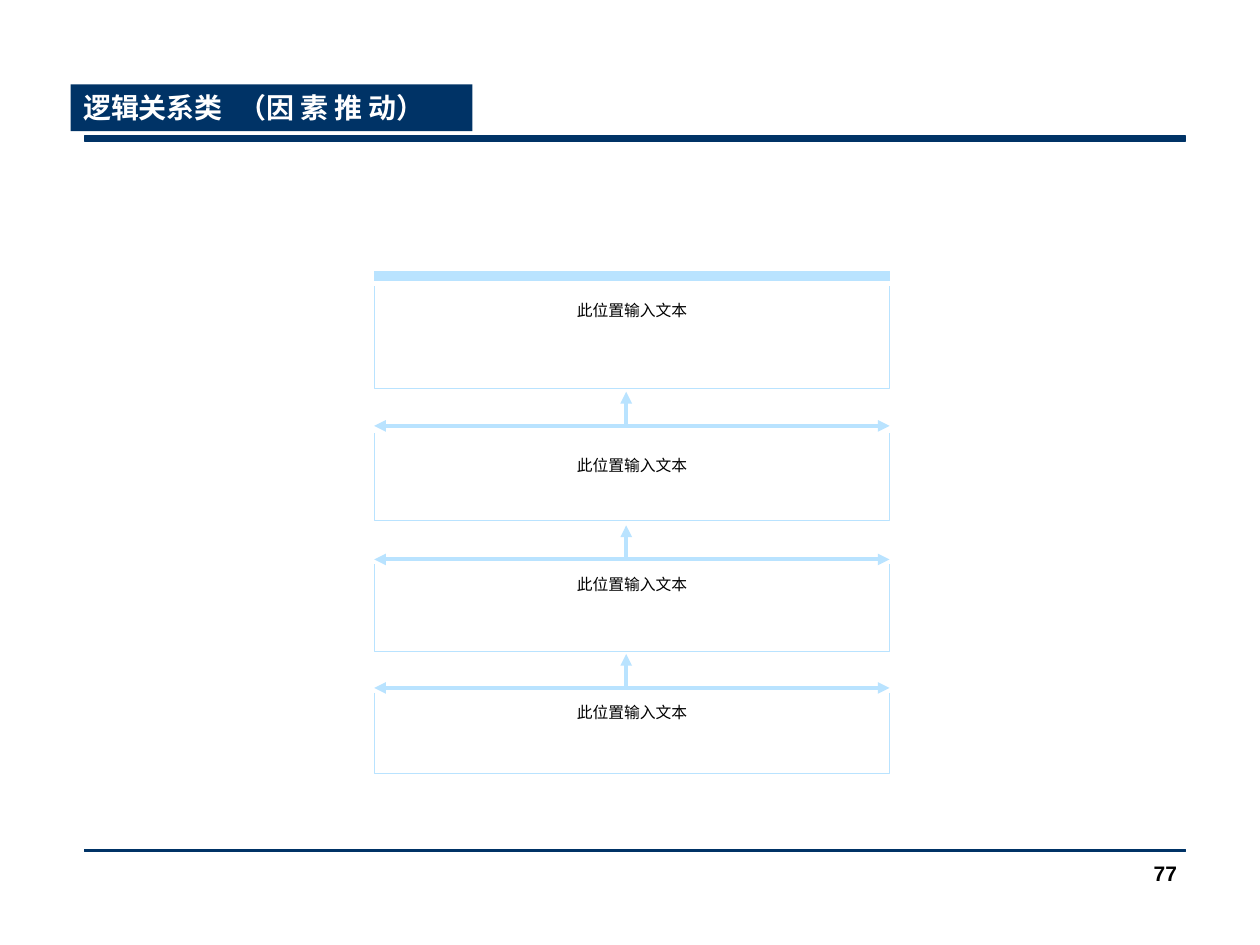
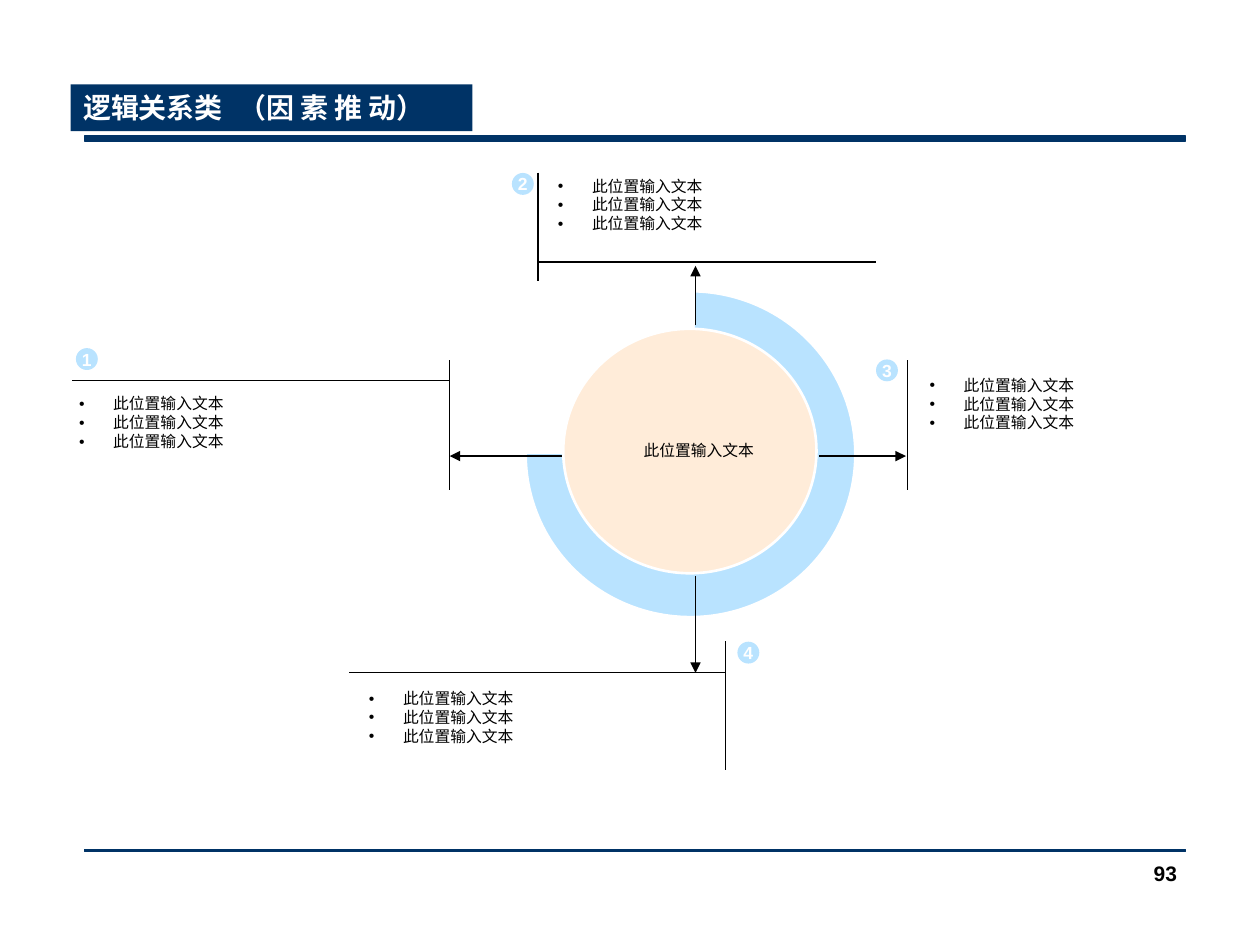
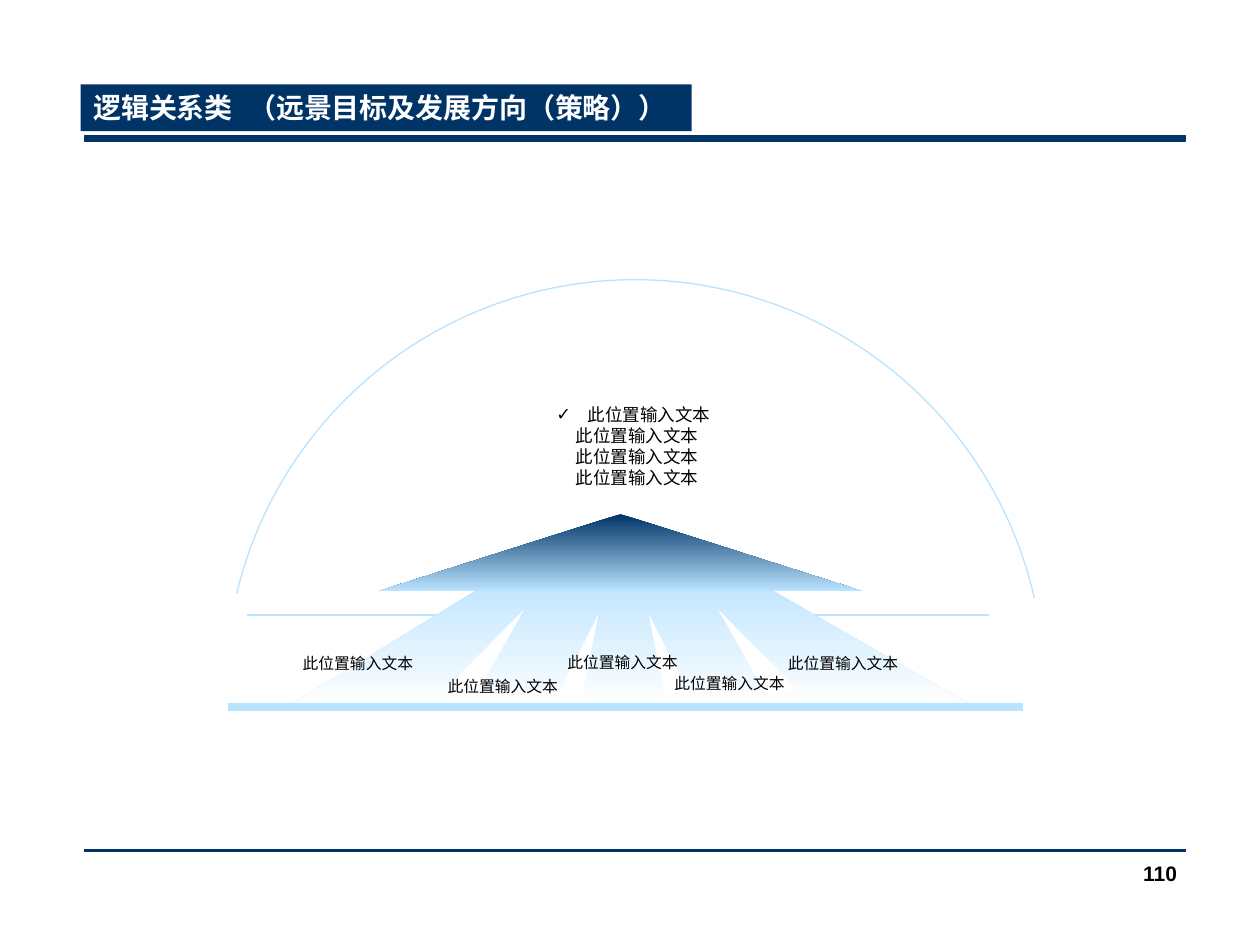
from dataclasses import dataclass

from lxml import etree
from pptx import Presentation
from pptx.dml.color import RGBColor as RGB
from pptx.enum.shapes import MSO_CONNECTOR as Link, MSO_SHAPE as Kind
from pptx.enum.text import MSO_ANCHOR as Anchor, MSO_AUTO_SIZE as Fit, PP_ALIGN as Align
from pptx.oxml.ns import qn
from pptx.util import Inches, Pt


@dataclass(frozen=True)
class Theme:
    navy: RGB = RGB(0x00, 0x33, 0x66)
    sky: RGB = RGB(0xB9, 0xE3, 0xFF)
    cream: RGB = RGB(0xFF, 0xEC, 0xD9)
    white: RGB = RGB(0xFF, 0xFF, 0xFF)
    black: RGB = RGB(0x00, 0x00, 0x00)
    font: str = "Arial"
    head: float = 16
    page: float = 12
    goal: float = 10
    body: float = 9


T = Theme()
HINT = "此位置输入文本"


def write(shape, lines, size=T.body, color=T.black, bold=False,
          align=Align.LEFT, marks=(), indents=(), tab=None):
    """Fill a shape with one paragraph per line; marks and indents go by line."""
    frame = shape.text_frame
    frame.word_wrap = True
    frame.auto_size = Fit.NONE
    for i, text in enumerate(lines):
        para = frame.paragraphs[0] if i == 0 else frame.add_paragraph()
        para.alignment = align
        props = para._p.get_or_add_pPr()
        if indents:
            props.set("marL", str(Inches(indents[i])))
        if marks and marks[i]:
            props.set("indent", str(-Inches(indents[i])))
            etree.SubElement(props, qn("a:buFont"), typeface=T.font)
            etree.SubElement(props, qn("a:buChar"), char=marks[i])
        if tab:
            stops = etree.SubElement(props, qn("a:tabLst"))
            etree.SubElement(stops, qn("a:tab"), pos=str(Inches(tab)), algn="l")
        run = para.add_run()
        run.text = text
        run.font.name = T.font
        run.font.size = Pt(size)
        run.font.bold = bold
        run.font.color.rgb = color


def draw(slide, x1, y1, x2, y2, color=T.black, width=0.75, ends=()):
    """Draw a straight line; ends may name headEnd and tailEnd."""
    line = slide.shapes.add_connector(
        Link.STRAIGHT, Inches(x1), Inches(y1), Inches(x2), Inches(y2))
    line.line.color.rgb = color
    line.line.width = Pt(width)
    props = line._element.spPr
    for end in ends:
        etree.SubElement(props.find(qn("a:ln")), qn(end), type="triangle")
    etree.SubElement(props, qn("a:effectLst"))


HEAD, TAIL = "a:headEnd", "a:tailEnd"

deck = Presentation()
deck.slide_width, deck.slide_height = Inches(10), Inches(7.5)

# Shared title, rules and page number
push = ("逻辑关系类\t（因 素 推 动）", 0.56, 3.19)
plan = ("逻辑关系类\t（远景目标及发展方向（策略））", 0.64, 4.85)
slides = []
for (name, left, width), page in ((push, "77"), (push, "93"), (plan, "110")):
    slide = deck.slides.add_slide(deck.slide_layouts[5])
    slides.append(slide)
    for top, height in ((1.08, 0.04), (6.74, 0.02)):
        rule = slide.shapes.add_shape(
            Kind.RECTANGLE, Inches(0.67), Inches(top), Inches(8.74), Inches(height))
        rule.shadow.inherit = False
        rule.fill.solid()
        rule.fill.fore_color.rgb = T.navy
        rule.line.color.rgb = T.navy
        rule.line.width = Pt(0)
    title = slide.shapes.title
    title.left, title.top = Inches(left), Inches(0.67)
    title.width, title.height = Inches(width), Inches(0.37)
    title.fill.solid()
    title.fill.fore_color.rgb = T.navy
    title.text_frame.vertical_anchor = Anchor.TOP
    write(title, [name], T.head, T.white, True, tab=1.23)
    box = slide.shapes.add_textbox(Inches(7.36), Inches(6.78), Inches(2.08), Inches(0.5))
    write(box, [page], T.page, bold=True, align=Align.RIGHT)

stack, wheel, vision = slides

# Stack: open frames with a label each
west, east = 2.97, 7.06
draw(stack, west, 2.19, east, 2.19, T.sky, 6)
for top, foot, label in ((2.27, 3.08, 2.34), (3.44, 4.13, 3.57),
                         (4.48, 5.17, 4.51), (5.5, 6.14, 5.53)):
    pen = stack.shapes.build_freeform(Inches(west), Inches(top))
    pen.add_line_segments([(Inches(x), Inches(y)) for x, y in
                           ((west, foot), (east, foot), (east, top))], close=False)
    frame = pen.convert_to_shape()
    frame.shadow.inherit = False
    frame.fill.background()
    frame.line.color.rgb = T.sky
    frame.line.width = Pt(0.25)
    box = stack.shapes.add_textbox(
        Inches(west), Inches(label), Inches(east - west), Inches(0.25))
    write(box, [HINT], align=Align.CENTER)

# Stack: arrows between the frames
for y in (3.38, 4.44, 5.46):
    draw(stack, west, y, east, y, T.sky, 2.25, (HEAD, TAIL))
    draw(stack, 4.97, y, 4.97, y - 0.27, T.sky, 2.25, (TAIL,))

# Wheel: ring, arrows and hub (arc angles are in units of 0.6 per degree)
ring = wheel.shapes.add_shape(Kind.ARC, Inches(4.17), Inches(2.31), Inches(2.62), Inches(2.59))
ring.adjustments[0], ring.adjustments[1] = 272 * 0.6, 180 * 0.6
ring.shadow.inherit = False
ring.fill.solid()
ring.fill.fore_color.rgb = T.sky
ring.line.color.rgb = T.white
ring.line.width = Pt(1.75)

for ray in ((4.72, 3.62, 3.57, 3.62), (5.52, 2.58, 5.52, 2.11),
            (6.5, 3.62, 7.19, 3.62), (5.52, 4.57, 5.52, 5.34)):
    draw(wheel, *ray, ends=(TAIL,))

hub = wheel.shapes.add_shape(Kind.OVAL, Inches(4.47), Inches(2.61), Inches(2.01), Inches(1.94))
hub.shadow.inherit = False
hub.fill.solid()
hub.fill.fore_color.rgb = T.cream
hub.line.color.rgb = T.white
hub.line.width = Pt(1.5)
box = wheel.shapes.add_textbox(Inches(5.01), Inches(3.45), Inches(1.38), Inches(0.25))
write(box, [HINT])

# Wheel: axes beside the notes
for axis in ((3.57, 2.86, 3.57, 3.89), (3.57, 3.02, 0.57, 3.02),
             (4.27, 1.37, 4.27, 2.23), (4.27, 2.08, 6.95, 2.08),
             (7.2, 2.86, 7.2, 3.89),
             (5.76, 5.09, 5.76, 6.11), (5.76, 5.34, 2.77, 5.34)):
    draw(wheel, *axis)

# Wheel: numbered notes, as badge and text corners
notes = (((0.61, 2.77), (0.53, 3.08)), ((4.07, 1.38), (4.33, 1.35)),
         ((6.96, 2.86), (7.28, 2.93)), ((5.86, 5.1), (2.83, 5.42)))
for num, (spot, note) in enumerate(notes, 1):
    badge = wheel.shapes.add_shape(
        Kind.OVAL, Inches(spot[0]), Inches(spot[1]), Inches(0.16), Inches(0.16))
    badge.shadow.inherit = False
    badge.fill.solid()
    badge.fill.fore_color.rgb = T.sky
    badge.line.color.rgb = T.sky
    badge.line.width = Pt(1)
    write(badge, [str(num)], T.goal, T.white, True, Align.CENTER)
    badge.text_frame.word_wrap = False
    badge.text_frame.vertical_anchor = Anchor.MIDDLE
    box = wheel.shapes.add_textbox(
        Inches(note[0]), Inches(note[1]), Inches(1.42), Inches(0.7))
    write(box, [HINT] * 3, marks="•" * 3, indents=[0.27] * 3)

# Vision: goals under the dome
box = vision.shapes.add_textbox(Inches(3.28), Inches(3.16), Inches(3.49), Inches(0.77))
write(box, [HINT] * 4, T.goal, align=Align.CENTER,
      marks=("✓", "", "", ""), indents=(0.25, 0.06, 0.06, 0.06))
draw(vision, 1.96, 4.88, 7.85, 4.88, T.sky, 1.25)
dome = vision.shapes.add_shape(Kind.ARC, Inches(1.79), Inches(2.22), Inches(6.5), Inches(6.49))
dome.adjustments[0], dome.adjustments[1] = 193.4 * 0.6, 347.2 * 0.6
dome.shadow.inherit = False
dome.fill.background()
dome.line.color.rgb = T.sky
dome.line.width = Pt(0.75)

# Vision: fading base and roof
pen = vision.shapes.build_freeform(Inches(2.28), Inches(5.61))
pen.add_line_segments([(Inches(x), Inches(y)) for x, y in
                       ((4.05, 4.52), (5.84, 4.52), (7.73, 5.61))])
base = pen.convert_to_shape()
roof = vision.shapes.add_shape(
    Kind.FLOWCHART_EXTRACT, Inches(3.01), Inches(4.08), Inches(3.83), Inches(0.61))
for part, tints in ((base, (T.sky, T.white)), (roof, (T.navy, T.sky))):
    part.shadow.inherit = False
    part.line.fill.background()
    part.fill.gradient()
    part.fill.gradient_angle = 270
    for stop, tint, place in zip(part.fill.gradient_stops, tints, (0, 1)):
        stop.color.rgb = tint
        stop.position = place

# Vision: white gaps that split the base, leaning both ways
for left, top, turn in ((4.48, 4.84, 16.5), (5.19, 4.84, -16.5),
                        (3.77, 4.74, 34.7), (5.86, 4.74, -34.7)):
    gap = vision.shapes.add_shape(
        Kind.ISOSCELES_TRIANGLE, Inches(left), Inches(top), Inches(0.23), Inches(0.86))
    gap.adjustments[0] = 0.66 if turn > 0 else 0.34
    gap.rotation = turn
    gap.shadow.inherit = False
    gap.fill.solid()
    gap.fill.fore_color.rgb = T.white
    gap.line.fill.background()

# Vision: ground line and labels
draw(vision, 1.81, 5.61, 8.12, 5.61, T.sky, 4.5)
for left, top in ((2.28, 5.14), (3.43, 5.32), (4.38, 5.13), (5.23, 5.3), (6.13, 5.14)):
    box = vision.shapes.add_textbox(Inches(left), Inches(top), Inches(1.12), Inches(0.25))
    write(box, [HINT], align=Align.CENTER)

deck.save("out.pptx")
